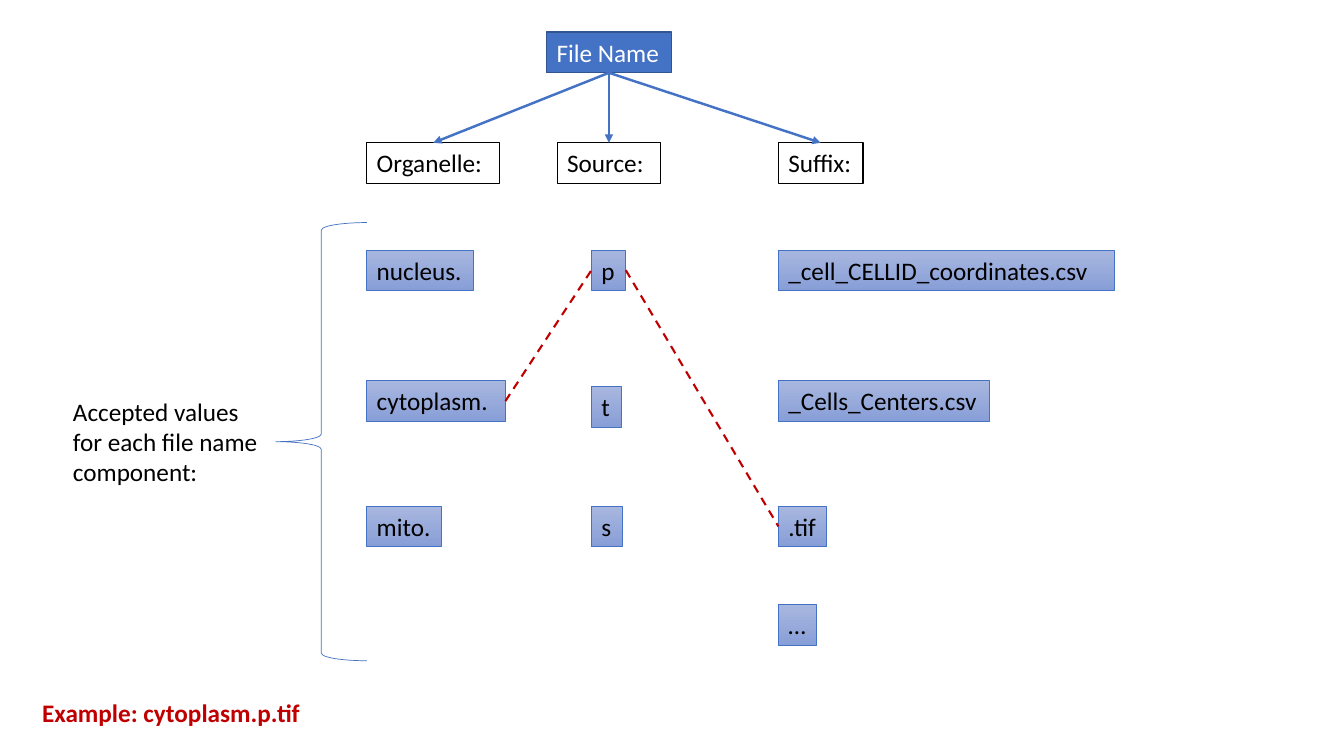
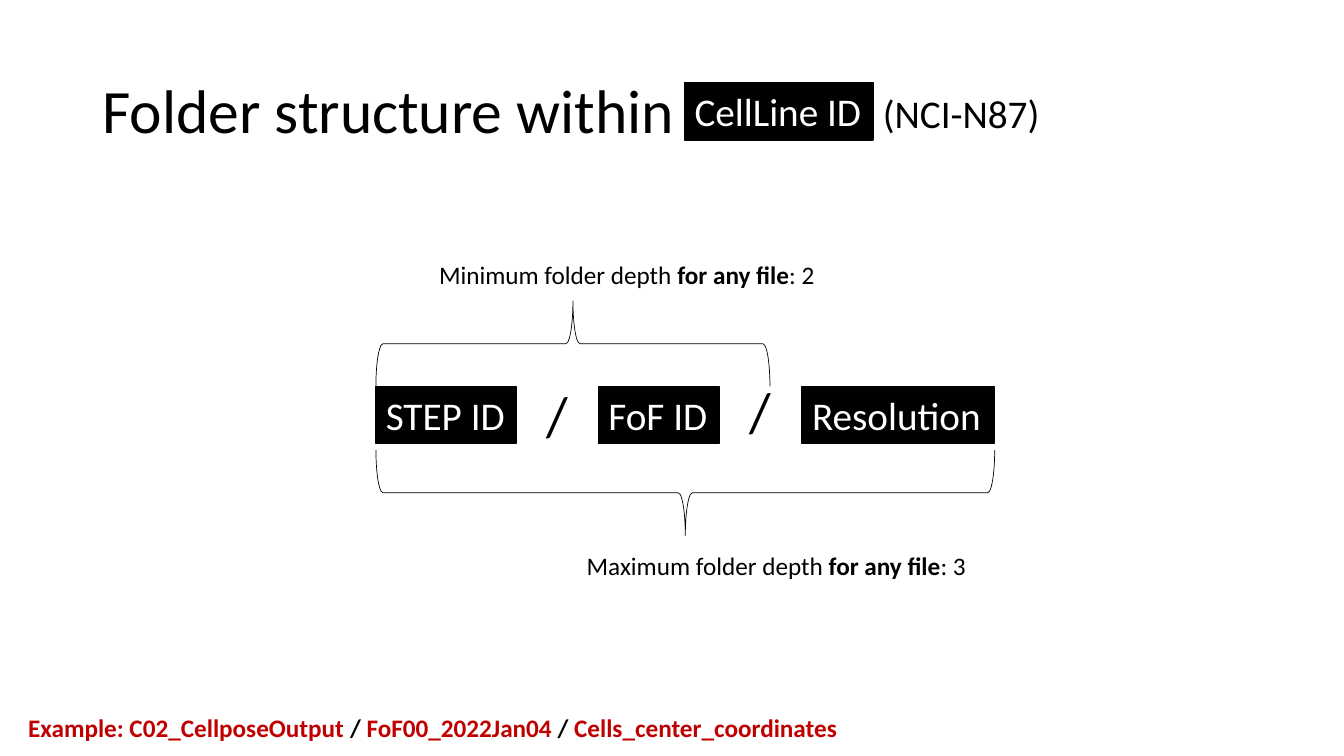
from dataclasses import dataclass
from typing import Optional

from lxml.etree import SubElement
from pptx import Presentation
from pptx.dml.color import RGBColor
from pptx.enum.dml import MSO_LINE
from pptx.enum.shapes import MSO_CONNECTOR, MSO_SHAPE
from pptx.enum.text import MSO_ANCHOR, MSO_AUTO_SIZE, PP_ALIGN
from pptx.oxml.ns import qn
from pptx.presentation import Presentation as Deck
from pptx.shapes.autoshape import Shape
from pptx.shapes.connector import Connector
from pptx.slide import Slide
from pptx.util import Pt


@dataclass(frozen=True)
class Theme:
    font: str = "Calibri"
    black: RGBColor = RGBColor(0x00, 0x00, 0x00)
    white: RGBColor = RGBColor(0xFF, 0xFF, 0xFF)
    blue: RGBColor = RGBColor(0x44, 0x72, 0xC4)
    navy: RGBColor = RGBColor(0x32, 0x54, 0x91)
    red: RGBColor = RGBColor(0xC0, 0x00, 0x00)
    pale: RGBColor = RGBColor(0xA8, 0xB7, 0xDF)
    periwinkle: RGBColor = RGBColor(0x88, 0x9E, 0xD7)
    body_size: float = 18
    label_size: float = 28
    slash_size: float = 40
    title_size: float = 44


THEME = Theme()


@dataclass(frozen=True)
class Frame:
    left: float
    top: float
    width: float
    height: float


@dataclass(frozen=True)
class Span:
    text: str
    color: RGBColor = THEME.black
    bold: bool = False


@dataclass(frozen=True)
class BoxStyle:
    fill: tuple[RGBColor, ...]
    line: RGBColor
    line_width: float
    text: RGBColor
    size: float
    height: float


@dataclass(frozen=True)
class Item:
    text: str
    left: float
    top: float
    width: float


ROOT = BoxStyle((THEME.blue,), THEME.navy, 1, THEME.white, THEME.body_size, 29)
HEADER = BoxStyle((THEME.white,), THEME.black, 1, THEME.black, THEME.body_size, 29)
VALUE = BoxStyle((THEME.pale, THEME.periwinkle), THEME.blue, 0.5, THEME.black, THEME.body_size, 29)
LABEL = BoxStyle((THEME.black,), THEME.black, 1, THEME.white, THEME.label_size, 41)

TOP_SITE, LEFT_SITE, BOTTOM_SITE, RIGHT_SITE = range(4)


def write(shape: Shape, spans: list[Span], size: float, wrap: bool = False) -> None:
    text_frame = shape.text_frame
    text_frame.word_wrap = wrap
    text_frame.auto_size = MSO_AUTO_SIZE.SHAPE_TO_FIT_TEXT
    text_frame.vertical_anchor = MSO_ANCHOR.TOP
    para = text_frame.paragraphs[0]
    para.alignment = PP_ALIGN.LEFT
    for span in spans:
        run = para.add_run()
        run.text = span.text
        run.font.name = THEME.font
        run.font.size = Pt(size)
        run.font.bold = span.bold
        run.font.color.rgb = span.color


def add_text(page: Slide, frame: Frame, spans: list[Span], size: float = THEME.body_size,
             wrap: bool = False) -> Shape:
    box = page.shapes.add_textbox(Pt(frame.left), Pt(frame.top), Pt(frame.width), Pt(frame.height))
    write(box, spans, size, wrap)
    return box


def add_box(page: Slide, item: Item, style: BoxStyle) -> Shape:
    box = page.shapes.add_shape(MSO_SHAPE.RECTANGLE, Pt(item.left), Pt(item.top),
                                Pt(item.width), Pt(style.height))
    box.shadow.inherit = False
    if len(style.fill) == 1:
        box.fill.solid()
        box.fill.fore_color.rgb = style.fill[0]
    else:
        box.fill.gradient()
        box.fill.gradient_angle = 270
        for stop, color in zip(box.fill.gradient_stops, style.fill):
            stop.color.rgb = color
    box.line.color.rgb = style.line
    box.line.width = Pt(style.line_width)
    write(box, [Span(item.text, style.text)], style.size)
    return box


def add_brace(page: Slide, kind: MSO_SHAPE, frame: Frame, color: RGBColor, rotation: int = 0) -> None:
    width, height = (frame.height, frame.width) if rotation else (frame.width, frame.height)
    left = frame.left + (frame.width - width) / 2
    top = frame.top + (frame.height - height) / 2
    brace = page.shapes.add_shape(kind, Pt(left), Pt(top), Pt(width), Pt(height))
    brace.rotation = rotation
    brace.shadow.inherit = False
    brace.fill.background()
    brace.line.color.rgb = color
    brace.line.width = Pt(0.5)


def add_link(page: Slide, start: Shape, start_site: int, end: Shape, end_site: int,
             color: RGBColor, width: float) -> Connector:
    link = page.shapes.add_connector(MSO_CONNECTOR.STRAIGHT, Pt(0), Pt(0), Pt(0), Pt(0))
    link.begin_connect(start, start_site)
    link.end_connect(end, end_site)
    link.line.color.rgb = color
    link.line.width = Pt(width)
    SubElement(link._element.spPr, qn("a:effectLst"))
    return link


def add_arrow(page: Slide, start: Shape, end: Shape) -> None:
    arrow = add_link(page, start, BOTTOM_SITE, end, TOP_SITE, THEME.blue, 1.75)
    SubElement(arrow.line._get_or_add_ln(), qn("a:tailEnd"), type="triangle")


def add_dashed(page: Slide, start: Shape, end: Shape) -> None:
    dashed = add_link(page, start, RIGHT_SITE, end, LEFT_SITE, THEME.red, 1.5)
    dashed.line.dash_style = MSO_LINE.DASH


def add_page(deck: Deck) -> Slide:
    return deck.slides.add_slide(deck.slide_layouts[6])


def build_file_name_page(deck: Deck) -> None:
    page = add_page(deck)
    organelle_left, source_left, suffix_left = 262, 422.5, 556
    first, second, third, fourth = 178.5, 272, 361.5, 432
    values = {
        item.text: add_box(page, item, VALUE)
        for item in (
            Item("nucleus.", organelle_left, first, 76),
            Item("cytoplasm.", organelle_left, second, 99),
            Item("mito.", organelle_left, third, 53),
            Item("p", source_left, first, 24.5),
            Item("t", source_left, 276, 21),
            Item("s", source_left, third, 22),
            Item("_cell_CELLID_coordinates.csv", suffix_left, first, 240),
            Item("_Cells_Centers.csv", suffix_left, second, 150.5),
            Item(".tif", suffix_left, third, 34.5),
            Item("…", suffix_left, fourth, 27),
        )
    }
    root = add_box(page, Item("File Name", 390.5, 23, 89), ROOT)
    for item in (
        Item("Organelle:", organelle_left, 102, 95),
        Item("Source:", 398, 102, 74),
        Item("Suffix:", suffix_left, 102, 60.5),
    ):
        add_arrow(page, root, add_box(page, item, HEADER))

    add_dashed(page, values["cytoplasm."], values["p"])
    add_dashed(page, values["p"], values[".tif"])
    add_brace(page, MSO_SHAPE.LEFT_BRACE, Frame(197, 159, 65, 313), THEME.blue)
    add_text(page, Frame(45, 279.5, 150.5, 73),
             [Span("Accepted values for each file name component:")], wrap=True)
    add_text(page, Frame(23, 494.5, 200, 29), [Span("Example: cytoplasm.p.tif", THEME.red, True)])


def add_title(page: Slide, text: str) -> None:
    title = add_text(page, Frame(66, 29, 828, 104), [Span(text)], THEME.title_size, wrap=True)
    title.text_frame.auto_size = MSO_AUTO_SIZE.NONE
    title.text_frame.vertical_anchor = MSO_ANCHOR.MIDDLE
    title.text_frame.paragraphs[0].line_spacing = 0.9


def add_depth_note(page: Slide, frame: Frame, limit: str, depth: int) -> None:
    add_text(page, frame, [Span(f"{limit} folder depth "), Span("for any file", bold=True),
                           Span(f": {depth}")])


def build_folder_page(deck: Deck) -> None:
    page = add_page(deck)
    path_left, path_top, brace_depth = 268.5, 276, 61
    add_title(page, "Folder structure within")
    for item in (
        Item("CellLine ID", 489, 59, 134.5),
        Item("STEP ID", path_left, path_top, 100),
        Item("FoF ID", 427.5, path_top, 86),
        Item("Resolution", 573, path_top, 137),
    ):
        add_box(page, item, LABEL)
    add_text(page, Frame(623.5, 60.5, 128, 41), [Span("(NCI-N87)")], THEME.label_size)
    for left, top in ((383, 268.5), (528.5, 265.5)):
        add_text(page, Frame(left, top, 30, 55.5), [Span("/")], THEME.slash_size)

    add_brace(page, MSO_SHAPE.RIGHT_BRACE,
              Frame(path_left, path_top - brace_depth, 281.5, brace_depth), THEME.black, 270)
    add_brace(page, MSO_SHAPE.RIGHT_BRACE,
              Frame(path_left, 321.5, 442, brace_depth), THEME.black, 90)
    add_depth_note(page, Frame(306.5, 181.5, 284, 29), "Minimum", 2)
    add_depth_note(page, Frame(412, 389.5, 292, 29), "Maximum", 3)

    slash = Span("/ ", bold=True)
    add_text(page, Frame(13, 505.5, 607.5, 51), [
        Span("Example: C02_CellposeOutput ", THEME.red, True), slash,
        Span("FoF00_2022Jan04 ", THEME.red, True), slash,
        Span("Cells_center_coordinates", THEME.red, True),
    ])


def main() -> None:
    deck = Presentation()
    deck.slide_width, deck.slide_height = Pt(960), Pt(540)
    build_file_name_page(deck)
    build_folder_page(deck)
    deck.save("out.pptx")


if __name__ == "__main__":
    main()
